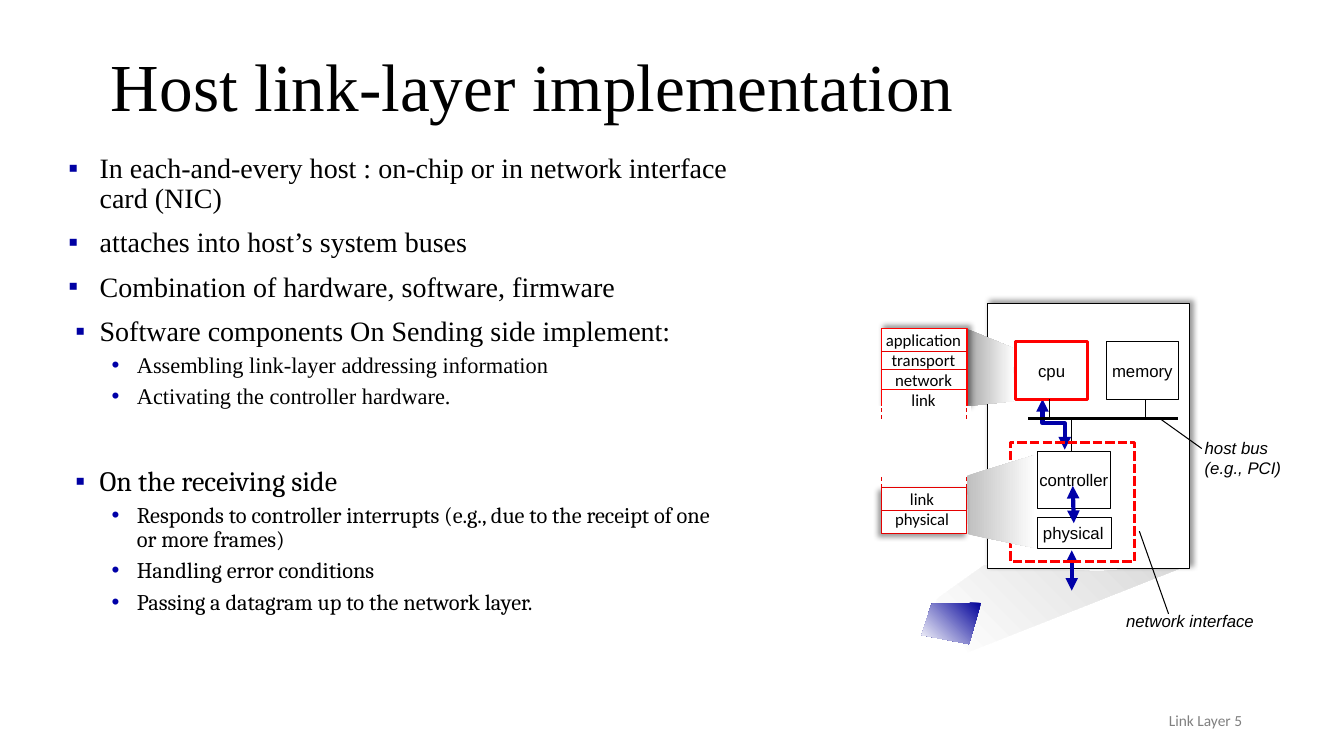
import pptx
import pptx.dml.color
import pptx.enum.dml
import pptx.enum.shapes
import pptx.enum.text
import pptx.oxml
import pptx.oxml.ns
import pptx.util

PX = 9144  # EMU per px, 100 px to the inch
NAMESPACE = pptx.oxml.ns.nsdecls("a")
ALIGN = pptx.enum.text.PP_ALIGN
ANCHOR = pptx.enum.text.MSO_ANCHOR
DASH = pptx.enum.dml.MSO_LINE
BLUE, RED, DARK_RED = "0000A8", "FF0000", "E40000"

# level, text, font, hanging indent, space before
POINTS = [
    (0, "In each-and-every host : on-chip or in network interface card (NIC)", "Times New Roman", 31, 0),
    (0, "attaches into host’s system buses", "Times New Roman", 31, 10),
    (0, "Combination of hardware, software, firmware", "Times New Roman", 31, 10),
    (0, "Software components On Sending side implement:", "Times New Roman", 24, 10),
    (1, "Assembling link-layer addressing information", "Times New Roman", 25, 5),
    (1, "Activating the controller hardware.", "Times New Roman", 25, 5),
    (0, "On the receiving side", "Cambria", 24, 41),
    (1, "Responds to controller interrupts (e.g., due to the receipt of one or more frames)", "Cambria", 25, 5),
    (1, "Handling error conditions", "Cambria", 25, 5),
    (1, "Passing a datagram up to the network layer.", "Cambria", 25, 5),
]
# bullet character, colour, left margin, text size
LEVELS = [("▪", "0000A3", 39, 20), ("•", BLUE, 76, 16)]


def emu(*lengths):
    return [length * PX for length in lengths]


def color(value):
    return pptx.dml.color.RGBColor.from_string(value)


def add_xml(parent, markup):
    parent.append(pptx.oxml.parse_xml(markup))


def set_text(para, text, size=12, font="Arial", ink="000000", italic=False,
             align=ALIGN.LEFT, spacing=None, before=0):
    para.alignment = align
    para.line_spacing = spacing
    para.space_before = pptx.util.Pt(before)
    span = para.add_run()
    span.text = text
    span.font.size = pptx.util.Pt(size)
    span.font.name = font
    span.font.italic = italic
    span.font.color.rgb = color(ink)


def write(shape, lines, wrap=False, anchor=ANCHOR.TOP, **style):
    frame = shape.text_frame
    frame.word_wrap = wrap
    frame.auto_size = pptx.enum.text.MSO_AUTO_SIZE.NONE
    frame.vertical_anchor = anchor
    for index, line in enumerate(lines):
        para = frame.add_paragraph() if index else frame.paragraphs[0]
        set_text(para, line, **style)


def add_label(page, place, lines, **style):
    write(page.shapes.add_textbox(*emu(*place)), lines, **style)


def set_line(line, ink, width, dash=None):
    line.color.rgb = color(ink)
    line.width = pptx.util.Pt(width)
    if dash:
        line.dash_style = dash


def add_arrowheads(line):
    outline = line._get_or_add_ln()
    for end in ("headEnd", "tailEnd"):
        add_xml(outline, f'<a:{end} {NAMESPACE} type="triangle"/>')


def add_box(page, place, ink=None, width=0.75, fill="FFFFFF", dash=None, shadow_angle=None, text=None):
    box = page.shapes.add_shape(pptx.enum.shapes.MSO_SHAPE.RECTANGLE, *emu(*place))
    if fill:
        box.fill.solid()
        box.fill.fore_color.rgb = color(fill)
    else:
        box.fill.background()
    if ink:
        set_line(box.line, ink, width, dash)
    else:
        box.line.fill.background()
    box.shadow.inherit = False
    if shadow_angle is not None:
        effects = box._element.spPr.find(pptx.oxml.ns.qn("a:effectLst"))
        add_xml(effects, f'<a:outerShdw {NAMESPACE} blurRad="50800" dist="38100" dir="{shadow_angle * 60000}" '
                         'rotWithShape="0"><a:srgbClr val="000000"><a:alpha val="40000"/></a:srgbClr></a:outerShdw>')
    if text:
        write(box, [text], anchor=ANCHOR.MIDDLE, align=ALIGN.CENTER)


def add_line(page, start, end, ink="000000", width=0.75, dash=None, arrows=False):
    line = page.shapes.add_connector(pptx.enum.shapes.MSO_CONNECTOR.STRAIGHT, *emu(*start, *end))
    set_line(line.line, ink, width, dash)
    if arrows:
        add_arrowheads(line.line)
    add_xml(line._element.spPr, f"<a:effectLst {NAMESPACE}/>")


def add_outline(page, points, closed=True):
    builder = page.shapes.build_freeform(*points[0], scale=float(PX))
    builder.add_line_segments(points[1:], close=closed)
    outline = builder.convert_to_shape()
    outline.shadow.inherit = False
    return outline


def add_wedge(page, points, first, last, angle):
    wedge = add_outline(page, points)
    wedge.line.fill.background()
    wedge.fill.gradient()
    wedge.fill.gradient_angle = (360 - angle) % 360
    for stop, ink in zip(wedge.fill.gradient_stops, (first, last)):
        stop.color.rgb = color(ink)
    for stop, position in zip(wedge.fill.gradient_stops, (0, 1)):
        stop.position = position


def add_bullets(page):
    frame = page.shapes.add_textbox(*emu(50, 148, 687, 550)).text_frame
    frame.word_wrap = True
    for index, (level, text, font, hanging, before) in enumerate(POINTS):
        para = frame.add_paragraph() if index else frame.paragraphs[0]
        mark, ink, margin, size = LEVELS[level]
        para.level = level
        properties = para._p.get_or_add_pPr()
        properties.set("marL", str(margin * PX))
        properties.set("indent", str(-hanging * PX))
        add_xml(properties, f'<a:buClr {NAMESPACE}><a:srgbClr val="{ink}"/></a:buClr>')
        add_xml(properties, f'<a:buFont {NAMESPACE} typeface="Arial"/>')
        add_xml(properties, f'<a:buChar {NAMESPACE} char="{mark}"/>')
        set_text(para, text, size=size, font=font, spacing=0.9, before=before)


def add_host(page):
    # Host case and interface card
    add_wedge(page, [(928, 601), (929, 595), (931, 593), (976, 561), (1089, 567), (1180, 560), (960, 647)],
              "FFFFFF", "D9D9D9", 315)
    add_box(page, (979, 301, 201, 263), "000000", shadow_angle=315)
    add_box(page, (1029, 513, 73, 31), "000000")
    add_box(page, (1029, 448, 72, 57), "000000", text="controller")
    add_label(page, (1024, 514, 81, 50), ["physical"], align=ALIGN.CENTER)

    # Path from processor to controller
    route = add_outline(page, [(1034, 396), (1034, 420), (1056, 420), (1056, 446)], closed=False)
    route.fill.background()
    set_line(route.line, BLUE, 3)
    add_arrowheads(route.line)

    # Bus with processor and memory
    add_line(page, (1020, 415), (1168, 415), width=2.25)
    add_line(page, (1063, 448), (1063, 416))
    add_box(page, (1007, 339, 72, 57), RED, 2.25, text="cpu")
    add_box(page, (1097, 339, 72, 57), "000000", text="memory")
    for x in (1041, 1136):
        add_line(page, (x, 415), (x, 396))

    # Callouts and data arrows
    add_label(page, (1185, 429, 114, 50), ["host bus", "(e.g., PCI)"], wrap=True, italic=True)
    add_line(page, (1064, 482), (1065, 519), BLUE, 3, arrows=True)
    add_line(page, (1063, 546), (1063, 586), BLUE, 3, arrows=True)
    add_line(page, (1192, 445), (1150, 415))
    add_label(page, (1107, 601, 148, 30), ["network interface"], italic=True)
    add_line(page, (1159, 609), (1130, 527))
    add_box(page, (1002, 439, 123, 118), RED, 2.25, fill=None, dash=DASH.SQUARE_DOT)


def add_layer_stacks(page):
    left, right = 874, 959
    stack_style = {"font": "Calibri", "align": ALIGN.CENTER}

    # Layers run by the interface card
    add_wedge(page, [(1028, 451), (959, 472), (960, 530), (1028, 544)], "BFBFBF", "FFFFFF", 0)
    add_box(page, (left, 484, 85, 45), DARK_RED, shadow_angle=135)

    # Layers run by the processor
    add_wedge(page, [(1004, 345), (958, 326), (959, 403), (1006, 398)], "A6A6A6", "FFFFFF", 0)
    add_box(page, (left, 326, 85, 80), RED, 1, shadow_angle=315)
    add_label(page, (868, 322, 96, 91), ["application", "transport", "network", "link"], **stack_style)
    add_box(page, (867, 403, 96, 20))
    add_label(page, (877, 480, 75, 51), ["link", "physical"], **stack_style)

    # Layer borders and open ends
    for y, ink in ((349, DARK_RED), (367, DARK_RED), (386, RED), (506, DARK_RED)):
        add_line(page, (left, y), (right, y), ink)
    for x in (left, right):
        for top in (405, 473):
            add_line(page, (x, top), (x, top + 11), DARK_RED, dash=DASH.DASH)


def main():
    deck = pptx.Presentation()
    deck.slide_width, deck.slide_height = emu(1333, 750)
    page = deck.slides.add_slide(deck.slide_layouts[5])

    # Title
    title = page.shapes.title
    title.left, title.top, title.width, title.height = emu(100, 40, 1150, 98)
    write(title, ["Host link-layer implementation"], wrap=True, anchor=ANCHOR.MIDDLE,
          size=48, font="Times New Roman", spacing=0.9)

    add_bullets(page)
    add_host(page)
    add_layer_stacks(page)

    # Small host icon
    add_wedge(page, [(973, 598), (924, 599), (914, 630), (961, 639)], "000099", "FFFFFF", 135)

    # Footer
    add_label(page, (942, 695, 300, 40), ["Link Layer 5"], wrap=True, anchor=ANCHOR.MIDDLE,
              size=11, font="Calibri", ink="808080", align=ALIGN.RIGHT)
    deck.save("out.pptx")


if __name__ == "__main__":
    main()
